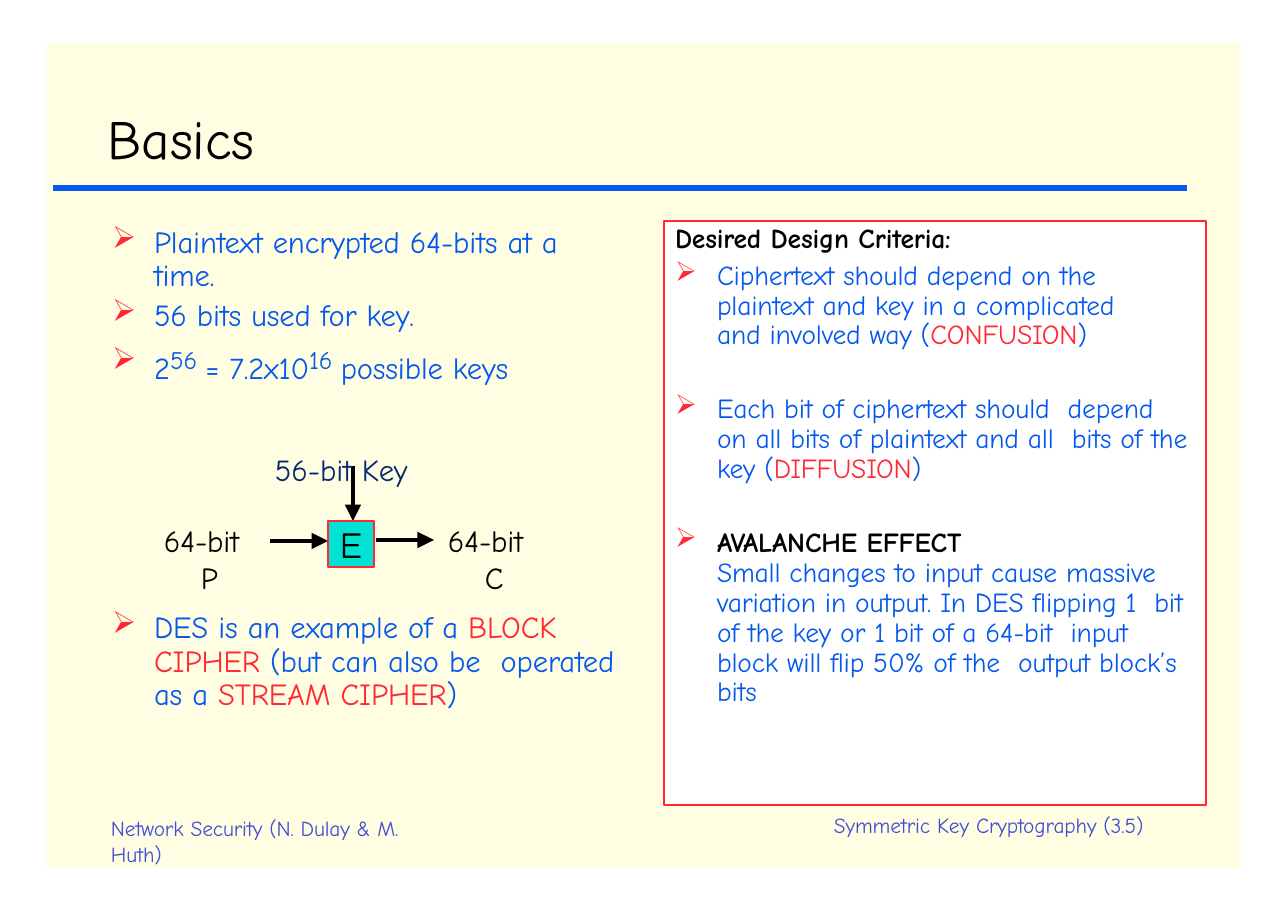
import dataclasses
import typing

import pptx
import pptx.dml.color
import pptx.enum.shapes
import pptx.enum.text
import pptx.oxml
import pptx.oxml.ns
import pptx.util

SHAPE = pptx.enum.shapes.MSO_SHAPE
ALIGN = pptx.enum.text.PP_ALIGN
ANCHOR = pptx.enum.text.MSO_ANCHOR


@dataclasses.dataclass(frozen=True)
class Theme:
    font: str = "Comic Neue"
    paper: str = "FFFEE2"
    white: str = "FFFFFF"
    black: str = "000000"
    blue: str = "0558ED"
    navy: str = "062A6B"
    red: str = "FF2833"
    cyan: str = "00E3D4"
    footer: str = "434DD6"
    title_size: float = 36
    cipher_size: float = 24
    body_size: float = 20
    criteria_size: float = 18
    footer_size: float = 14
    power_size: float = 28.5
    tracking: int = -10
    rule_width: float = 4.08
    arrow_width: float = 2.16
    frame_width: float = 0.96


THEME = Theme()


@dataclasses.dataclass
class Run:
    text: str
    colour: str = THEME.blue
    size: typing.Optional[float] = None
    bold: bool = False
    raised: bool = False


@dataclasses.dataclass
class Para:
    runs: list
    bullet: bool = False
    left: int = 0
    first: int = 0
    before: float = 0
    spacing: typing.Any = None
    align: typing.Any = ALIGN.LEFT


class Deck:
    EMU_PER_PX = 8298

    def __init__(self, theme, width, height):
        self.theme = theme
        self.prs = pptx.Presentation()
        self.prs.slide_width, self.prs.slide_height = self.px(width, height)
        self.s = self.prs.slides.add_slide(self.prs.slide_layouts[6])

    def px(self, *lengths):
        return [pptx.util.Emu(n * self.EMU_PER_PX) for n in lengths]

    def rgb(self, colour):
        return pptx.dml.color.RGBColor.from_string(colour)

    def xml(self, parent, tag, **attrs):
        child = pptx.oxml.parse_xml(f"<a:{tag} {pptx.oxml.ns.nsdecls('a')}/>")
        for name, value in attrs.items():
            child.set(name, str(value))
        parent.append(child)
        return child

    def rect(self, x, y, w, h, fill, line=None):
        sp = self.s.shapes.add_shape(SHAPE.RECTANGLE, *self.px(x, y, w, h))
        sp.shadow.inherit = False
        sp.fill.solid()
        sp.fill.fore_color.rgb = self.rgb(fill)
        if line:
            sp.line.color.rgb = self.rgb(line)
            sp.line.width = pptx.util.Pt(self.theme.frame_width)
        else:
            sp.line.fill.background()
        return sp

    def line(self, x1, y1, x2, y2, colour, width, arrow=False):
        cn = self.s.shapes.add_connector(
            pptx.enum.shapes.MSO_CONNECTOR.STRAIGHT, *self.px(x1, y1, x2, y2))
        cn.line.color.rgb = self.rgb(colour)
        cn.line.width = pptx.util.Pt(width)
        if arrow:
            ln = cn._element.spPr.find(pptx.oxml.ns.qn("a:ln"))
            self.xml(ln, "tailEnd", type="triangle", w="lg", len="lg")
        self.xml(cn._element.spPr, "effectLst")

    def text(self, x, y, w, h, size, paras):
        sp = self.s.shapes.add_textbox(*self.px(x, y, w, h))
        self.fill_text(sp, size, paras)

    def fill_text(self, sp, size, paras, anchor=ANCHOR.TOP):
        tf = sp.text_frame
        tf.word_wrap = True
        tf.vertical_anchor = anchor
        tf.margin_left = tf.margin_right = tf.margin_top = tf.margin_bottom = 0
        for i, para in enumerate(paras):
            p = tf.add_paragraph() if i else tf.paragraphs[0]
            self.style_para(p, para)
            for run in para.runs:
                self.add_run(p, run, size)

    def style_para(self, p, para):
        p.alignment = para.align
        p.space_before = pptx.util.Pt(para.before)
        if para.spacing:
            p.line_spacing = para.spacing
        pPr = p._p.get_or_add_pPr()
        left, first = self.px(para.left, para.first)
        pPr.set("marL", str(left))
        pPr.set("indent", str(first))
        if para.bullet:
            self.xml(self.xml(pPr, "buClr"), "srgbClr", val=self.theme.red)
            self.xml(pPr, "buChar", char="➢")

    def add_run(self, p, run, size):
        for i, part in enumerate(run.text.split("\n")):
            if i:
                p.add_line_break()
            r = p.add_run()
            r.text = part
            r.font.name = self.theme.font
            r.font.size = pptx.util.Pt(run.size or size)
            r.font.bold = run.bold
            r.font.color.rgb = self.rgb(run.colour)
            rPr = r._r.get_or_add_rPr()
            rPr.set("spc", str(self.theme.tracking))
            if run.raised:
                rPr.set("baseline", "23000")


def bullet(*runs, left=43, first=-42, **style):
    return Para(list(runs), bullet=True, left=left, first=first, **style)


def criterion(*runs, **style):
    return bullet(*runs, left=53, **style)


def power(text):
    return Run(text, size=THEME.power_size, raised=True)


def main():
    t = THEME
    pt = pptx.util.Pt
    deck = Deck(t, 1288, 910)

    # Background, title and rule
    deck.rect(47, 42, 1194, 826, t.paper)
    deck.line(53, 188, 1187, 188, t.blue, t.rule_width)
    deck.text(108, 104, 1074, 78, t.title_size, [Para([Run("Basics", t.black)])])

    # Key facts
    deck.text(111, 226, 506, 170, t.body_size, [
        bullet(Run("Plaintext encrypted 64-bits at a time."), spacing=pt(21.8)),
        bullet(Run("56 bits used for key."), before=1.8),
        bullet(Run("2"), power("56 "), Run("= 7.2x10"), power("16 "),
               Run("possible keys"), before=2.4),
    ])
    deck.text(111, 612, 511, 100, t.body_size, [
        bullet(Run("DES is an example of a "), Run("BLOCK CIPHER ", t.red),
               Run("(but can also be  operated as a "), Run("STREAM CIPHER", t.red),
               Run(")"), spacing=pt(21.6)),
    ])

    # Cipher diagram
    for x1, y1, x2, y2 in ((353, 466, 353, 521), (270, 541, 328, 541), (376, 540, 434, 540)):
        deck.line(x1, y1, x2, y2, t.black, t.arrow_width, arrow=True)
    deck.text(275, 451, 150, 36, t.body_size, [Para([Run("56-bit Key", t.navy)])])
    cipher = deck.rect(328, 521, 46, 46, t.cyan, t.red)
    deck.fill_text(cipher, t.cipher_size, [Para([Run("E", t.black)], align=ALIGN.CENTER)],
                   ANCHOR.MIDDLE)
    for x, block in ((162, "P"), (446, "C")):
        deck.text(x, 522, 84, 75, t.body_size,
                  [Para([Run(f"64-bit {block}", t.black)], left=39, first=-37)])

    # Design criteria
    criteria = deck.rect(664, 221, 542, 584, t.white, t.red)
    deck.fill_text(criteria, t.criteria_size, [
        Para([Run("Desired Design Criteria:", t.black, bold=True)], left=11, before=1.5),
        criterion(Run("Ciphertext should depend on the\nplaintext and key in a complicated\n"
                      "and involved way ("), Run("CONFUSION", t.red), Run(")"),
                  spacing=pt(19.4), before=4.8),
        criterion(Run("Each bit of ciphertext should  depend\non all bits of plaintext "
                      "and all  bits of the key ("), Run("DIFFUSION", t.red), Run(")"),
                  spacing=0.91, before=28.7),
        criterion(Run("AVALANCHE EFFECT", t.black, bold=True), spacing=pt(20.5), before=27.2),
        Para([Run("Small changes to input cause massive variation in output. In DES "
                  "flipping 1  bit of the key or 1 bit of a 64-bit  input\nblock will "
                  "flip 50% of the  output block’s bits")], left=53, spacing=0.9, before=1),
    ])

    # Footer
    deck.text(834, 815, 349, 24, t.footer_size,
              [Para([Run("Symmetric Key Cryptography (3.5)", t.footer)], spacing=pt(14.8))])
    deck.text(111, 818, 331, 50, t.footer_size, [
        Para([Run("Network Security (N. Dulay & M.", t.footer)], spacing=pt(14.8)),
        Para([Run("Huth)", t.footer)]),
    ])

    deck.prs.save("out.pptx")


if __name__ == "__main__":
    main()
